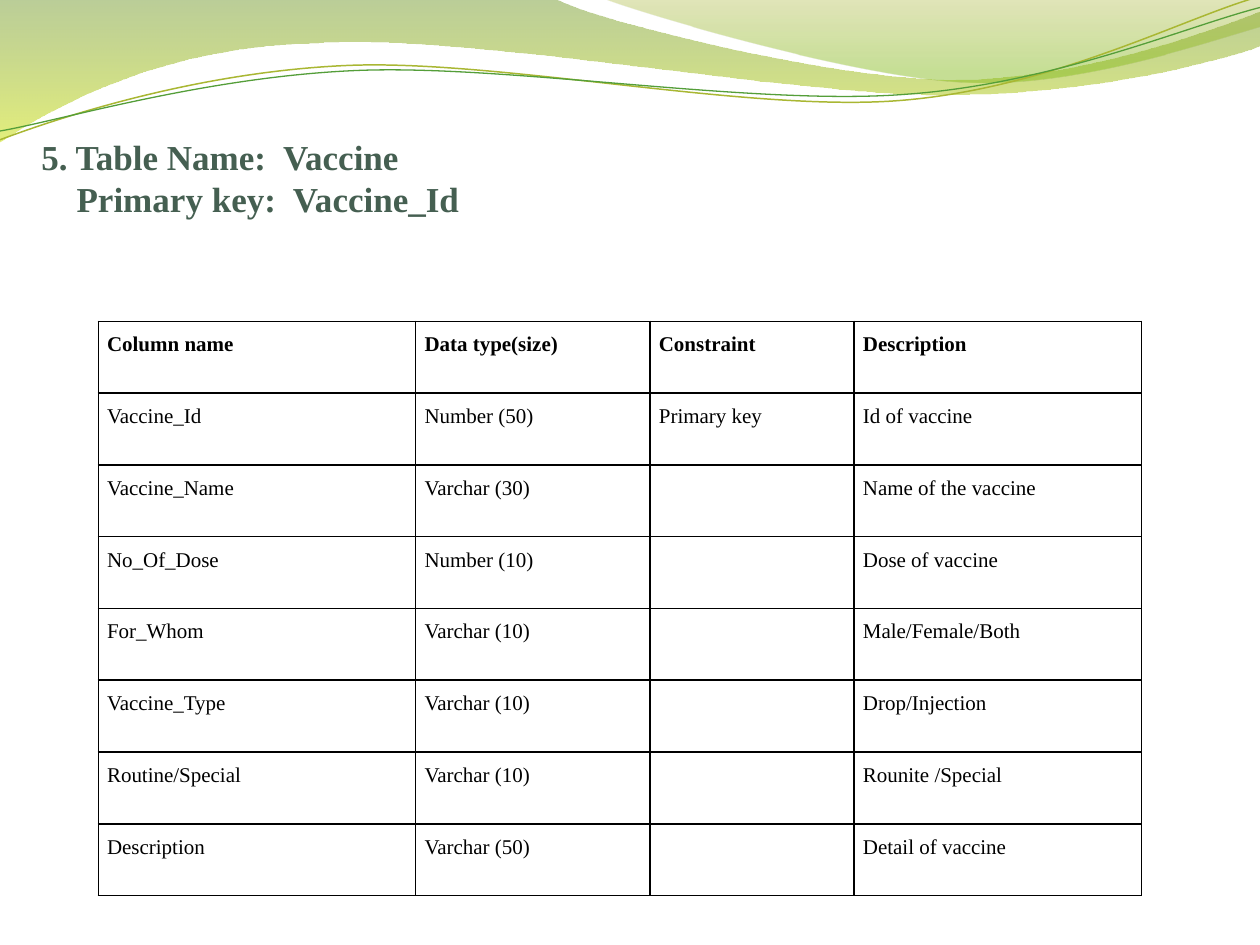
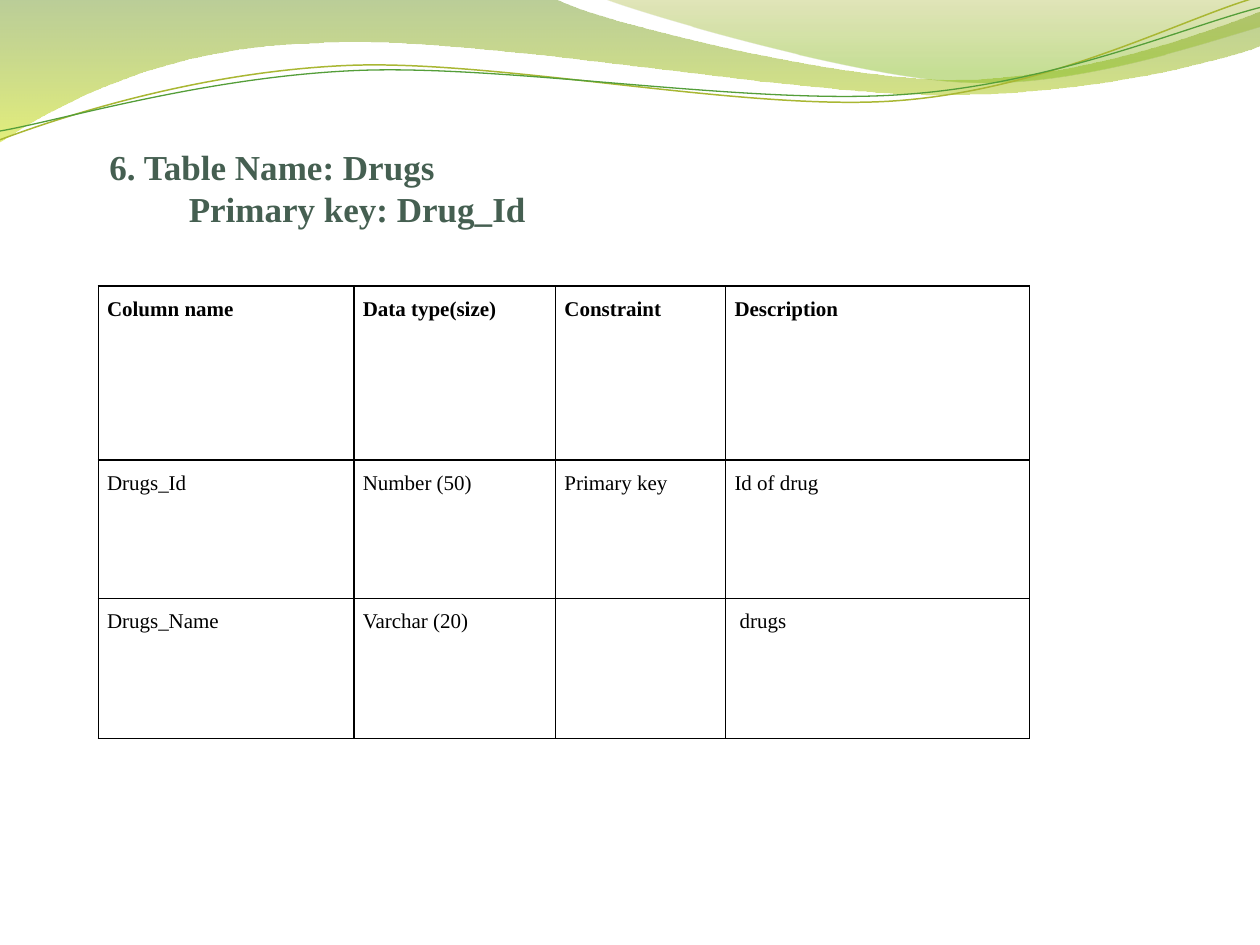
import math
from lxml import etree
from pptx import Presentation, util as u
from pptx.dml.color import RGBColor
from pptx.enum import text
from pptx.oxml import ns

FONT = "Times New Roman"
COLORS = {
    "title": "455F51", "ink": "000000", "paper": "FFFFFF",
    "olive": "69921C", "lime": "CCE10F", "moss": "9BAA1A", "leaf": "81BA16",
    "gold_line": "A9B733", "green_line": "549E39",
}
HEADERS = ["Column name", "Data type(size)", "Constraint", "Description"]
LINE_TILT = 357.3

WAVES = [
    {"path": [(0, 0), (4.4, -0.01),
              (4.75, 0.17, 6.63, 0.63, 7.58, 0.63),
              (8.53, 0.63, 9.58, 0.26, 10, 0.09), (10.01, 0.36),
              (9.83, 0.44, 8.69, 0.76, 7.46, 0.75),
              (6.22, 0.75, 3.81, 0.28, 2.57, 0.34),
              (1.29, 0.36, 0.46, 0.83, -0.01, 1.13), (0, 0)],
     "stops": [(0, "olive", 45), (1, "lime", 55)]},
    {"path": [(4.79, -0.01),
              (5.09, 0.11, 6.82, 0.62, 7.68, 0.65),
              (8.55, 0.69, 9.61, 0.32, 10, 0.21), (10, 0), (4.79, -0.01)],
     "stops": [(0, "moss", 30), (0.8, "leaf", 45)]},
    {"path": [(0, 1.11),
              (0.48, 0.93, 1.57, 0.57, 2.76, 0.52),
              (3.95, 0.47, 5.92, 0.89, 7.12, 0.8),
              (8.33, 0.71, 9.38, 0.15, 9.97, -0.02)],
     "line": ("gold_line", 0.85), "pivot": (4.99, 0.58)},
    {"path": [(0, 1.04),
              (0.47, 0.96, 1.63, 0.61, 2.83, 0.56),
              (4.02, 0.51, 5.97, 0.84, 7.17, 0.75),
              (8.36, 0.67, 9.41, 0.21, 10, 0.06)],
     "line": ("green_line", 0.75), "pivot": (5, 0.59)},
]

SLIDES = [
    {"title": ["5. Table Name:  Vaccine", "Primary key:  Vaccine_Id"],
     "box": (0.23, 1.02, 3.97, 0.77), "indent": 0.28, "wrap": False,
     "top": 2.55, "cols": [2.52, 1.86, 1.62, 2.28], "heights": [0.57] * 8,
     "rows": [
         ["Vaccine_Id", "Number (50)", "Primary key", "Id of vaccine"],
         ["Vaccine_Name", "Varchar (30)", "", "Name of the vaccine"],
         ["No_Of_Dose", "Number (10)", "", "Dose of vaccine"],
         ["For_Whom", "Varchar (10)", "", "Male/Female/Both"],
         ["Vaccine_Type", "Varchar (10)", "", "Drop/Injection"],
         ["Routine/Special", "Varchar (10)", "", "Rounite /Special"],
         ["Description", "Varchar (50)", "", "Detail of vaccine"]]},
    {"title": ["6. Table Name: Drugs", "Primary key: Drug_Id"],
     "box": (0.77, 1.1, 3.53, 0.77), "indent": 0.63, "wrap": True,
     "top": 2.27, "cols": [2.03, 1.6, 1.35, 2.41], "heights": [1.38, 1.1, 1.11],
     "rows": [
         ["Drugs_Id", "Number (50)", "Primary key", "Id of drug"],
         ["Drugs_Name", "Varchar (20)", "", " drugs"]]},
]


def level(point, pivot):
    angle = math.radians(-LINE_TILT)
    dx, dy = point[0] - pivot[0], point[1] - pivot[1]
    return (pivot[0] + dx * math.cos(angle) - dy * math.sin(angle),
            pivot[1] + dx * math.sin(angle) + dy * math.cos(angle))


def add_run(p, content, size, color, bold):
    r = p.add_run()
    r.text = content
    fmt = {"name": FONT, "size": u.Pt(size), "bold": bold}
    for key, value in fmt.items():
        setattr(r.font, key, value)
    r.font.color.rgb = RGBColor.from_string(COLORS[color])


prs = Presentation()
prs.slide_width, prs.slide_height = u.Inches(10), u.Inches(7.5)
blank = prs.slide_layouts[6]
slides = [prs.slides.add_slide(blank) for _ in SLIDES]

band = slides[0].shapes.add_group_shape()
for wave in WAVES:
    points = [seg[i:i + 2] for seg in wave["path"] for i in range(0, len(seg), 2)]
    if "pivot" in wave:
        points = [level(point, wave["pivot"]) for point in points]
    points = [(u.Inches(x), u.Inches(y)) for x, y in points]
    fb = band.shapes.build_freeform(*points[0])
    fb.add_line_segments(points[1:], close="stops" in wave)
    sp = fb.convert_to_shape()
    sp.shadow.inherit = False
    steps = iter(list(sp._element.spPr.iter(ns.qn("a:lnTo"))))
    for seg in wave["path"][1:]:
        step = next(steps)
        if len(seg) == 6:
            step.tag = ns.qn("a:cubicBezTo")
            for _ in range(2):
                extra = next(steps)
                step.append(extra[0])
                extra.getparent().remove(extra)
    if "stops" in wave:
        sp.line.fill.background()
        sp.fill.gradient()
        sp.fill.gradient_angle = 270
        for stop, (position, color, alpha) in zip(sp.fill.gradient_stops, wave["stops"]):
            stop.position = position
            stop.color.rgb = RGBColor.from_string(COLORS[color])
        for clr, (_, _, alpha) in zip(sp._element.spPr.iter(ns.qn("a:srgbClr")), wave["stops"]):
            etree.SubElement(clr, ns.qn("a:alpha"), val=str(alpha * 1000))
    else:
        color, width = wave["line"]
        sp.fill.background()
        sp.line.color.rgb = RGBColor.from_string(COLORS[color])
        sp.line.width = u.Pt(width)
        sp.rotation = LINE_TILT
prs.slide_master.shapes._spTree.insert(2, band._element)

for s, data in zip(slides, SLIDES):
    size = sum(data["cols"]), sum(data["heights"])
    frame = s.shapes.add_table(len(data["heights"]), len(data["cols"]),
                               *map(u.Inches, (0.78, data["top"], *size)))
    tbl = frame.table
    tbl.first_row = tbl.horz_banding = False
    for col, width in zip(tbl.columns, data["cols"]):
        col.width = u.Inches(width)
    for row, height in zip(tbl.rows, data["heights"]):
        row.height = u.Inches(height)
    for i, values in enumerate([HEADERS] + data["rows"]):
        for j, value in enumerate(values):
            cell = tbl.cell(i, j)
            fmt = {"margin_left": 0.07, "margin_right": 0.07, "margin_top": 0, "margin_bottom": 0}
            for key, margin in fmt.items():
                setattr(cell, key, u.Inches(margin))
            tcPr = cell._tc.get_or_add_tcPr()
            for side in ("lnL", "lnR", "lnT", "lnB"):
                ln = etree.SubElement(tcPr, ns.qn("a:" + side), w=str(u.Pt(1)))
                fill = etree.SubElement(ln, ns.qn("a:solidFill"))
                etree.SubElement(fill, ns.qn("a:srgbClr"), val=COLORS["ink"])
            cell.fill.solid()
            cell.fill.fore_color.rgb = RGBColor.from_string(COLORS["paper"])
            if value:
                p = cell.text_frame.paragraphs[0]
                fmt = {"alignment": text.PP_ALIGN.JUSTIFY, "line_spacing": 1.5, "space_after": u.Pt(10)}
                for key, setting in fmt.items():
                    setattr(p, key, setting)
                add_run(p, value, 12, "ink", i == 0)

    tf = s.shapes.add_textbox(*map(u.Inches, data["box"])).text_frame
    fmt = {"word_wrap": data["wrap"], "vertical_anchor": text.MSO_ANCHOR.MIDDLE,
           "auto_size": text.MSO_AUTO_SIZE.SHAPE_TO_FIT_TEXT}
    for key, value in fmt.items():
        setattr(tf, key, value)
    heading, key_line = tf.paragraphs[0], tf.add_paragraph()
    key_line._p.get_or_add_pPr().set("marL", str(u.Inches(data["indent"])))
    for p, line in zip((heading, key_line), data["title"]):
        add_run(p, line, 20, "title", True)

prs.save("out.pptx")
